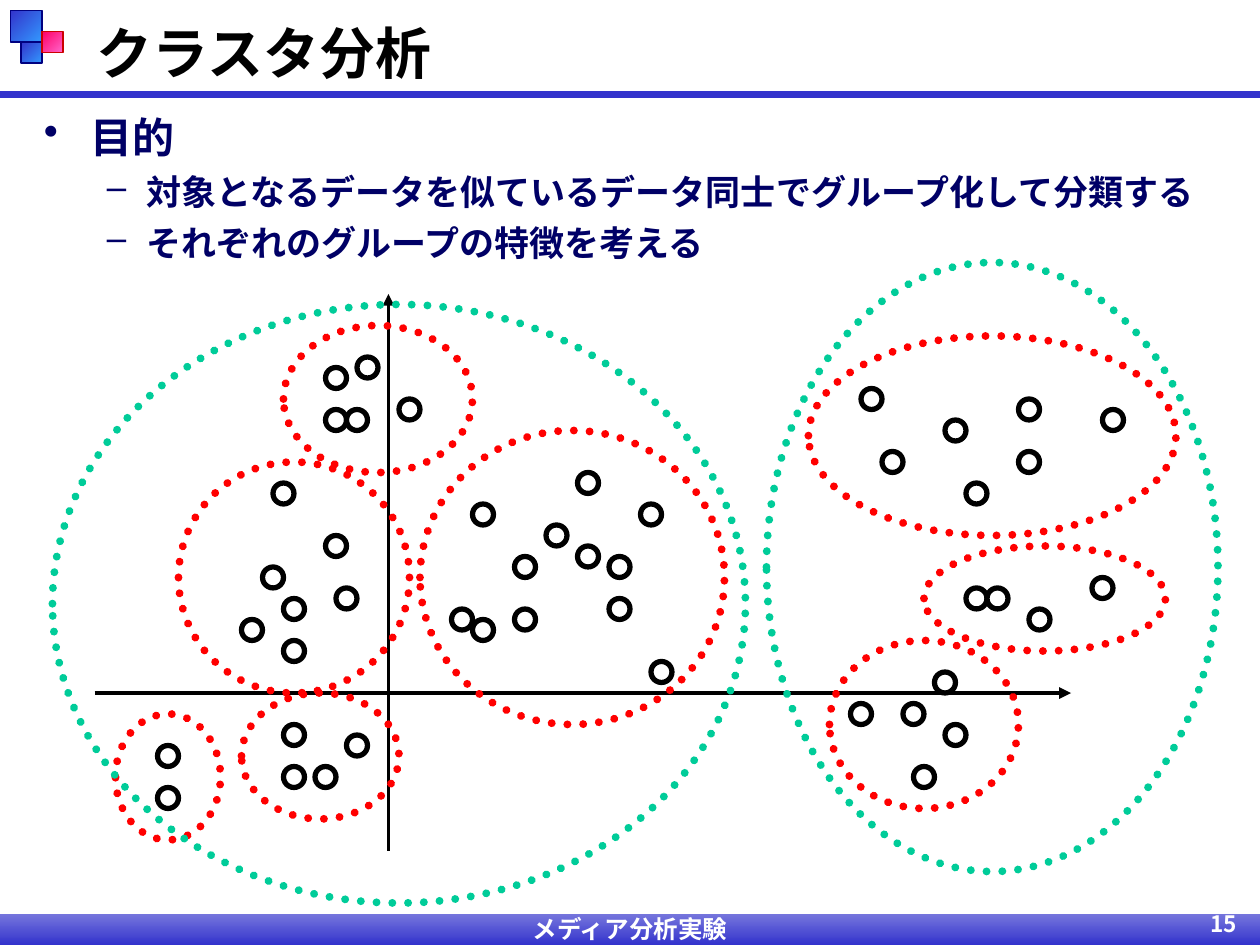
from lxml import etree
from pptx import Presentation, util as u
from pptx.dml.color import RGBColor
from pptx.enum import shapes, text
from pptx.oxml.ns import qn

BLACK = RGBColor(0x00, 0x00, 0x00)
WHITE = RGBColor(0xFF, 0xFF, 0xFF)
NAVY = RGBColor(0x00, 0x00, 0x66)
EDGE_BLUE = RGBColor(0x00, 0x00, 0x80)
BLUE = RGBColor(0x33, 0x33, 0xCC)
SKY = RGBColor(0x33, 0x99, 0xFF)
LAVENDER = RGBColor(0x77, 0x77, 0xDD)
ROSE = RGBColor(0xFF, 0x00, 0x66)
PINK = RGBColor(0xFF, 0x66, 0xCC)
EDGE_RED = RGBColor(0xCC, 0x00, 0x00)
RED = RGBColor(0xFF, 0x00, 0x00)
GREEN = RGBColor(0x00, 0xCC, 0x99)

CLUSTERS = [
    ((27, 31, 18, 14), [(31, 39), (33, 39), (31, 35), (34, 34), (38, 38)]),
    ((17, 44, 22, 22), [(25, 54), (23, 59), (32, 56), (27, 61), (27, 57),
                        (31, 51), (26, 46)]),
    ((40, 41, 29, 28), [(61, 48), (45, 48), (49, 58), (45, 59), (49, 53),
                        (62, 63), (58, 57), (58, 53), (55, 45), (55, 52),
                        (43, 58), (52, 50)]),
    ((77, 32, 35, 19), [(105, 39), (82, 37), (97, 38), (97, 43), (84, 43),
                        (92, 46), (90, 40)]),
    ((88, 52, 23, 10), [(92, 56), (94, 56), (104, 55), (98, 58)]),
    ((79, 61, 18, 16), [(89, 64), (87, 73), (90, 69), (86, 67), (81, 67)]),
    ((11, 68, 10, 12), [(15, 71), (15, 75)]),
    ((23, 66, 15, 12), [(33, 70), (27, 73), (27, 69), (30, 73)]),
]
SUPER_CLUSTERS = [(5, 29, 66, 57), (73, 25, 43, 58)]
GOALS = [
    ("目的", 0, "•", 24, 6),
    ("対象となるデータを似ているデータ同士でグループ化して分類する", 1, "–", 20, 5),
    ("それぞれのグループの特徴を考える", 1, "–", 20, 5),
]
INDENTS = [(0.95, -0.95), (2.06, -0.79)]


def grid(*counts):
    return [u.Cm(count * 2.54 / 12) for count in counts]


class ClusterSlide:
    typeface = "Noto Sans CJK JP"

    def __init__(self, deck):
        self.slide = deck.slides.add_slide(deck.slide_layouts[5])
        self.shapes = self.slide.shapes

    def style(self, paragraph, size, color):
        font = paragraph.font
        font.size, font.bold, font.name = u.Pt(size), True, self.typeface
        font.color.rgb = color
        latin = font._rPr.find(qn("a:latin"))
        east_asian = etree.Element(qn("a:ea"), typeface=self.typeface)
        latin.addnext(east_asian)

    def title(self, wording, box):
        title = self.shapes.title
        title.left, title.top, title.width, title.height = grid(*box)
        frame = title.text_frame
        frame.text = wording
        frame.vertical_anchor = text.MSO_ANCHOR.MIDDLE
        frame.paragraphs[0].alignment = text.PP_ALIGN.LEFT
        self.style(frame.paragraphs[0], 32, BLACK)

    def bullets(self, items, box):
        frame = self.shapes.add_textbox(*grid(*box)).text_frame
        frame.word_wrap = True
        for index, (wording, level, mark, size, space) in enumerate(items):
            paragraph = frame.add_paragraph() if index else frame.paragraphs[0]
            paragraph.text, paragraph.level = wording, level
            if index:
                paragraph.space_before = u.Pt(space)
            properties = paragraph._p.get_or_add_pPr()
            margin, indent = INDENTS[level]
            properties.set("marL", str(u.Cm(margin)))
            properties.set("indent", str(u.Cm(indent)))
            mark_color = etree.SubElement(properties, qn("a:buClr"))
            etree.SubElement(mark_color, qn("a:srgbClr"), val=str(NAVY))
            etree.SubElement(properties, qn("a:buChar"), char=mark)
            self.style(paragraph, size, NAVY)

    def footer(self, wording, box, size, alignment, spacing=1.0):
        frame = self.shapes.add_textbox(*grid(*box)).text_frame
        frame.word_wrap = True
        frame.margin_top = frame.margin_bottom = 0
        paragraph = frame.paragraphs[0]
        paragraph.text, paragraph.alignment = wording, alignment
        paragraph.line_spacing = spacing
        self.style(paragraph, size, WHITE)

    def gradient_box(self, box, start, end, angle, edge=None):
        block = self.shapes.add_shape(shapes.MSO_SHAPE.RECTANGLE, *grid(*box))
        block.shadow.inherit = False
        block.fill.gradient()
        block.fill.gradient_angle = 360 - angle
        for stop, color in zip(block.fill.gradient_stops, (start, end)):
            stop.color.rgb = color
        if edge is None:
            block.line.fill.background()
        else:
            block.line.color.rgb, block.line.width = edge, u.Pt(0.75)

    def line(self, ends, color, width, arrow=False):
        rule = self.shapes.add_connector(shapes.MSO_CONNECTOR.STRAIGHT, *grid(*ends))
        rule.line.color.rgb, rule.line.width = color, u.Pt(width)
        if arrow:
            etree.SubElement(rule.line._get_or_add_ln(), qn("a:tailEnd"), type="triangle")
        etree.SubElement(rule._element.spPr, qn("a:effectLst"))

    def ellipse(self, box, color, width):
        oval = self.shapes.add_shape(shapes.MSO_SHAPE.OVAL, *grid(*box))
        oval.shadow.inherit = False
        oval.line.color.rgb, oval.line.width = color, u.Pt(width)
        return oval

    def data_point(self, left, top):
        point = self.ellipse((left, top, 2, 2), BLACK, 3)
        point.fill.solid()
        point.fill.fore_color.rgb = WHITE

    def boundary(self, box, color):
        outline = self.ellipse(box, color, 4.5)
        outline.fill.background()
        stroke = outline.line._get_or_add_ln()
        stroke.set("cap", "rnd")
        etree.SubElement(stroke, qn("a:prstDash"), val="sysDot")


def main():
    deck = Presentation()
    deck.slide_width, deck.slide_height = u.Cm(25.4), u.Cm(19.05)
    page = ClusterSlide(deck)

    page.line((0, 9, 120, 9), BLUE, 4.5)
    page.gradient_box((0, 87, 120, 3), LAVENDER, BLUE, 90)
    page.gradient_box((2, 4, 2, 2), BLUE, SKY, 45, EDGE_BLUE)
    page.gradient_box((1, 1, 3, 3), BLUE, SKY, 45, EDGE_BLUE)
    page.gradient_box((4, 3, 2, 2), ROSE, PINK, 45, EDGE_RED)
    page.footer("メディア分析実験", (41, 87, 38, 3), 14, text.PP_ALIGN.CENTER)
    page.footer("15", (94, 87, 25, 3), 12.9, text.PP_ALIGN.RIGHT, 0.9)
    page.title("クラスタ分析", (8, 1, 102, 8))
    page.bullets(GOALS, (3, 10, 115, 76))

    page.line((9, 66, 102, 66), BLACK, 2.25, arrow=True)
    page.line((37, 81, 37, 28), BLACK, 2.25, arrow=True)
    for _, points in CLUSTERS:
        for left, top in points:
            page.data_point(left, top)
    for box, _ in CLUSTERS:
        page.boundary(box, RED)
    for box in SUPER_CLUSTERS:
        page.boundary(box, GREEN)
    deck.save("out.pptx")


if __name__ == "__main__":
    main()
